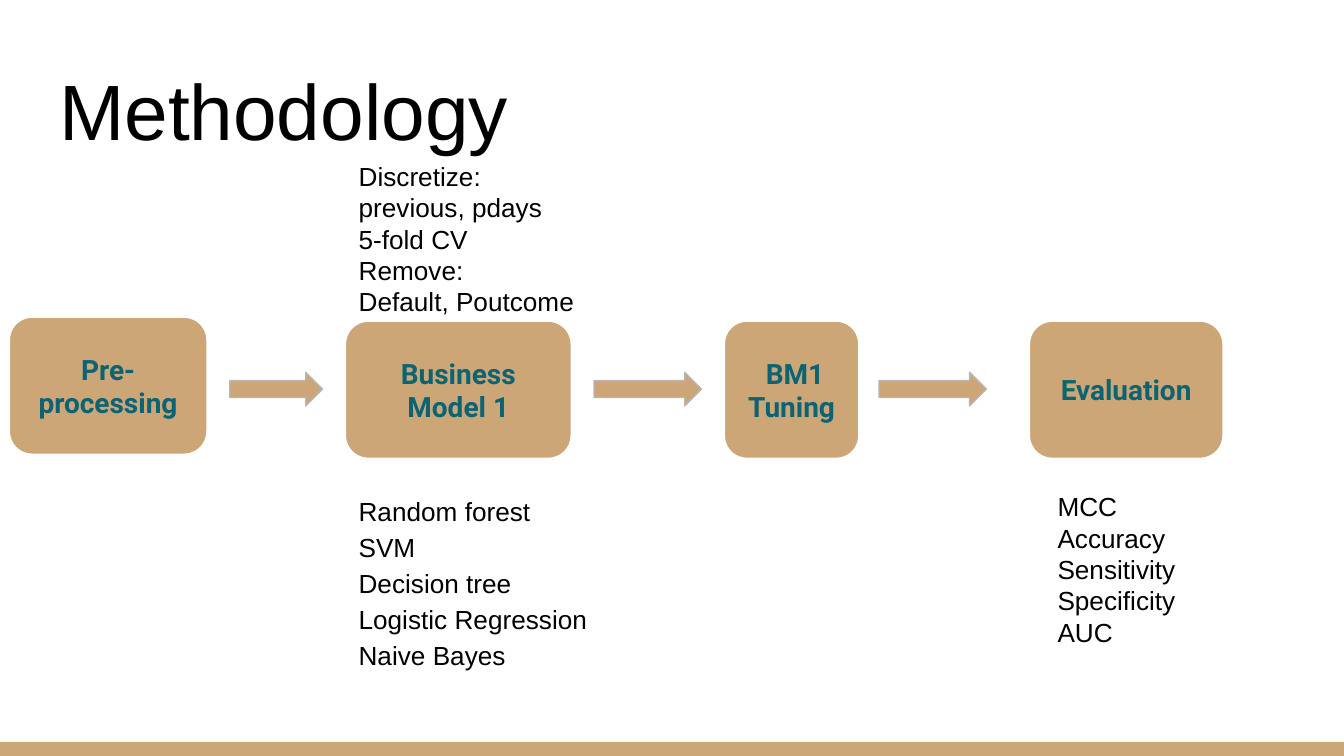
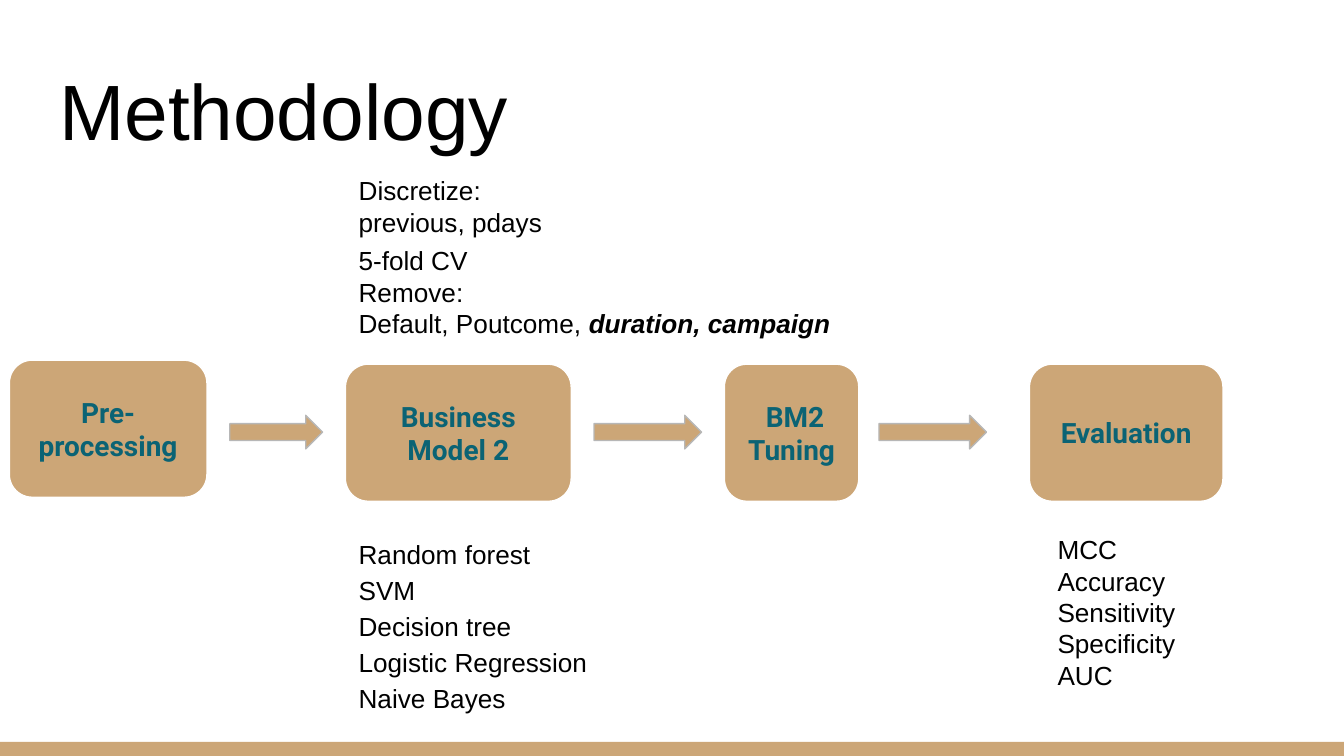
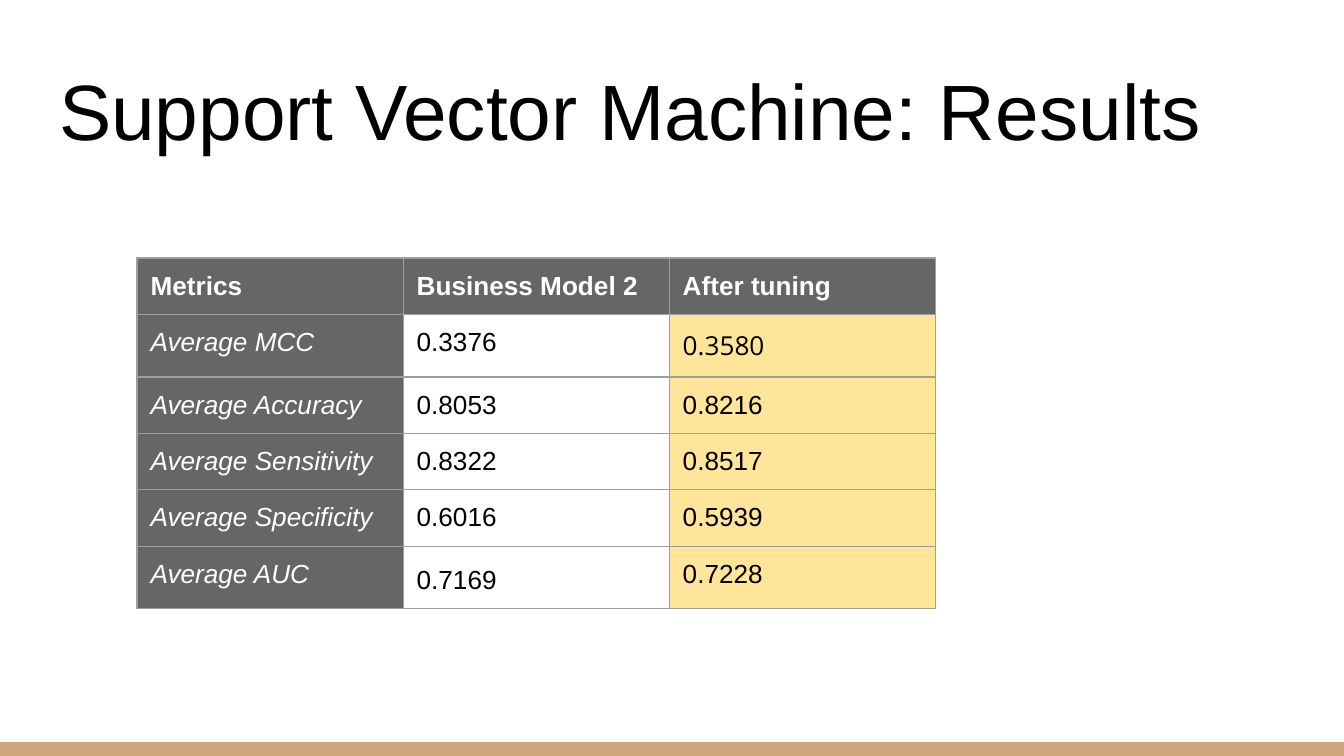
from dataclasses import dataclass

import lxml.etree
import pptx
import pptx.dml.color
import pptx.enum.shapes
import pptx.enum.text
import pptx.oxml.ns
import pptx.presentation
import pptx.shapes.autoshape
import pptx.slide
import pptx.table
import pptx.text.text
import pptx.util
from pptx.util import Inches

TAN = pptx.dml.color.RGBColor(0xCC, 0xA6, 0x77)
TEAL = pptx.dml.color.RGBColor(0x0B, 0x63, 0x74)
BLACK = pptx.dml.color.RGBColor(0x00, 0x00, 0x00)
WHITE = pptx.dml.color.RGBColor(0xFF, 0xFF, 0xFF)
ARROW_EDGE = pptx.dml.color.RGBColor(0xB7, 0xB7, 0xB7)
HEADER_GRAY = pptx.dml.color.RGBColor(0x66, 0x66, 0x66)
GRID_GRAY = pptx.dml.color.RGBColor(0x9E, 0x9E, 0x9E)
HIGHLIGHT = pptx.dml.color.RGBColor(0xFF, 0xE5, 0x99)

SLIDE_WIDTH = Inches(10)
SLIDE_HEIGHT = SLIDE_WIDTH * 9 // 16
BAND_TOP = Inches(5.52)
INSET = Inches(0.1)
STAGE_HEIGHT = Inches(1.02)
ARROW_HEIGHT = Inches(0.25)
ARROW_DROP = Inches(0.38)
LIST_DROP = Inches(1.16)
MODEL_LEFT = Inches(2.57)
TITLE_ONLY = 5

MODELS = ("Random forest", "SVM", "Decision tree", "Logistic Regression", "Naive Bayes")
METRICS = ("MCC", "Accuracy", "Sensitivity", "Specificity", "AUC")
RESULTS = (
    ("Metrics", "Business Model 2", "After tuning"),
    ("Average MCC", "0.3376", "0.3580"),
    ("Average Accuracy", "0.8053", "0.8216"),
    ("Average Sensitivity", "0.8322", "0.8517"),
    ("Average Specificity", "0.6016", "0.5939"),
    ("Average AUC", "0.7169", "0.7228"),
)


@dataclass(frozen=True)
class TextStyle:
    size: float = 14
    font: str = "Arial"
    color: pptx.dml.color.RGBColor = BLACK
    bold: bool = False
    italic: bool = False


@dataclass(frozen=True)
class Stage:
    left: float
    width: float
    lines: tuple[str, ...]
    lift: float = 0


@dataclass(frozen=True)
class Arrow:
    left: float
    width: float


@dataclass(frozen=True)
class Note:
    left: int
    top: int
    width: int
    lines: tuple[str, ...]
    spacing: float = 1.0
    emphasis: str = ""


@dataclass(frozen=True)
class Methodology:
    number: int
    stage_top: int
    discretize: Note
    validation: Note


TITLE_STYLE = TextStyle(size=42)
BODY_STYLE = TextStyle()
EMPHASIS_STYLE = TextStyle(bold=True, italic=True)
STAGE_STYLE = TextStyle(15, "Roboto", TEAL, bold=True)
HEADER_STYLE = TextStyle(color=WHITE, bold=True)
METRIC_STYLE = TextStyle(color=WHITE, italic=True)
BEST_MCC_STYLE = TextStyle(font="Open Sans")

ARROWS = (Arrow(1.71, 0.69), Arrow(4.42, 0.8), Arrow(6.54, 0.8))
DISCRETIZE = ("Discretize:", "previous, pdays")
METHODOLOGIES = (
    Methodology(
        1,
        Inches(2.39),
        Note(MODEL_LEFT, Inches(1.09), Inches(1.82), DISCRETIZE),
        Note(MODEL_LEFT, Inches(1.56), Inches(3.28),
             ("5-fold CV", "Remove:", "Default, Poutcome")),
    ),
    Methodology(
        2,
        Inches(2.71),
        Note(MODEL_LEFT, Inches(1.2), Inches(2.21), DISCRETIZE),
        Note(MODEL_LEFT, Inches(1.72), Inches(3.77),
             ("5-fold CV", "Remove:", "Default, Poutcome, "),
             emphasis="duration, campaign"),
    ),
)


def add_run(paragraph: pptx.text.text._Paragraph, text: str, style: TextStyle) -> None:
    run = paragraph.add_run()
    run.text = text
    run.font.size = pptx.util.Pt(style.size)
    run.font.name = style.font
    run.font.color.rgb = style.color
    run.font.bold = style.bold
    run.font.italic = style.italic


def write_lines(
    frame: pptx.text.text.TextFrame,
    lines: tuple[str, ...],
    style: TextStyle,
    align: pptx.enum.text.PP_ALIGN = pptx.enum.text.PP_ALIGN.LEFT,
    spacing: float = 1.0,
) -> None:
    frame.margin_left = frame.margin_right = INSET
    frame.margin_top = frame.margin_bottom = INSET
    frame.word_wrap = True
    for index, line in enumerate(lines):
        paragraph = frame.add_paragraph() if index else frame.paragraphs[0]
        paragraph.alignment = align
        paragraph.line_spacing = spacing
        add_run(paragraph, line, style)


def add_filled_shape(
    slide: pptx.slide.Slide,
    preset: pptx.enum.shapes.MSO_SHAPE,
    left: int,
    top: int,
    width: int,
    height: int,
    edge: pptx.dml.color.RGBColor | None = None,
) -> pptx.shapes.autoshape.Shape:
    shape = slide.shapes.add_shape(preset, left, top, width, height)
    shape.shadow.inherit = False
    shape.fill.solid()
    shape.fill.fore_color.rgb = TAN
    if edge is None:
        shape.line.fill.background()
    else:
        shape.line.color.rgb = edge
        shape.line.width = pptx.util.Pt(0.75)
    return shape


def add_titled_slide(deck: pptx.presentation.Presentation, heading: str) -> pptx.slide.Slide:
    slide = deck.slides.add_slide(deck.slide_layouts[TITLE_ONLY])
    title = slide.shapes.title
    title.left, title.top = Inches(0.34), Inches(0.35)
    title.width, title.height = Inches(9.32), Inches(0.91)
    write_lines(title.text_frame, (heading,), TITLE_STYLE)
    title.text_frame.vertical_anchor = pptx.enum.text.MSO_ANCHOR.BOTTOM
    title.text_frame.auto_size = pptx.enum.text.MSO_AUTO_SIZE.NONE
    return slide


def move_band_to_layout(slide: pptx.slide.Slide) -> None:
    band = add_filled_shape(
        slide, pptx.enum.shapes.MSO_SHAPE.RECTANGLE,
        0, BAND_TOP, SLIDE_WIDTH, SLIDE_HEIGHT - BAND_TOP,
    )
    slide.slide_layout.shapes.element.append(band.element)


def add_stage(slide: pptx.slide.Slide, stage: Stage, top: int) -> None:
    box = add_filled_shape(
        slide, pptx.enum.shapes.MSO_SHAPE.ROUNDED_RECTANGLE,
        Inches(stage.left), top - Inches(stage.lift), Inches(stage.width), STAGE_HEIGHT, WHITE,
    )
    box.text_frame.vertical_anchor = pptx.enum.text.MSO_ANCHOR.MIDDLE
    write_lines(box.text_frame, stage.lines, STAGE_STYLE, pptx.enum.text.PP_ALIGN.CENTER)


def add_note(slide: pptx.slide.Slide, note: Note) -> None:
    height = Inches(0.2 + 0.24 * note.spacing * len(note.lines))
    frame = slide.shapes.add_textbox(note.left, note.top, note.width, height).text_frame
    write_lines(frame, note.lines, BODY_STYLE, spacing=note.spacing)
    frame.auto_size = pptx.enum.text.MSO_AUTO_SIZE.SHAPE_TO_FIT_TEXT
    if note.emphasis:
        add_run(frame.paragraphs[-1], note.emphasis, EMPHASIS_STYLE)


def add_methodology(deck: pptx.presentation.Presentation, method: Methodology) -> pptx.slide.Slide:
    slide = add_titled_slide(deck, "Methodology")
    stages = (
        Stage(0.07, 1.47, ("Pre-", "processing"), lift=0.03),
        Stage(2.57, 1.68, (f"Business Model {method.number}",)),
        Stage(5.39, 1, (f" BM{method.number} Tuning",)),
        Stage(7.66, 1.44, ("Evaluation",)),
    )
    for stage in stages:
        add_stage(slide, stage, method.stage_top)
    for arrow in ARROWS:
        add_filled_shape(
            slide, pptx.enum.shapes.MSO_SHAPE.RIGHT_ARROW,
            Inches(arrow.left), method.stage_top + ARROW_DROP,
            Inches(arrow.width), ARROW_HEIGHT, ARROW_EDGE,
        )
    list_top = method.stage_top + LIST_DROP
    add_note(slide, Note(Inches(7.77), list_top, Inches(1.22), METRICS))
    add_note(slide, method.discretize)
    add_note(slide, method.validation)
    add_note(slide, Note(MODEL_LEFT, list_top, Inches(1.96), MODELS, spacing=1.15))
    return slide


def add_borders(cell: pptx.table._Cell) -> None:
    properties = cell._tc.get_or_add_tcPr()
    qn = pptx.oxml.ns.qn
    for side in ("a:lnL", "a:lnR", "a:lnT", "a:lnB"):
        border = lxml.etree.SubElement(properties, qn(side), w=str(pptx.util.Pt(0.75)))
        fill = lxml.etree.SubElement(border, qn("a:solidFill"))
        lxml.etree.SubElement(fill, qn("a:srgbClr"), val=str(GRID_GRAY))


def cell_look(row: int, column: int) -> tuple[TextStyle, pptx.dml.color.RGBColor]:
    if row == 0:
        return HEADER_STYLE, HEADER_GRAY
    if column == 0:
        return METRIC_STYLE, HEADER_GRAY
    if column == 1:
        return BODY_STYLE, WHITE
    return (BEST_MCC_STYLE if row == 1 else BODY_STYLE), HIGHLIGHT


def add_results(deck: pptx.presentation.Presentation) -> None:
    slide = add_titled_slide(deck, "Support Vector Machine: Results")
    row_count, column_count = len(RESULTS), len(RESULTS[0])
    column_width, row_height = Inches(1.98), Inches(0.42)
    table = slide.shapes.add_table(
        row_count, column_count, Inches(1.02), Inches(1.92),
        column_width * column_count, row_height * row_count,
    ).table
    table.first_row = table.horz_banding = False
    for row, values in enumerate(RESULTS):
        for column, value in enumerate(values):
            cell = table.cell(row, column)
            style, fill = cell_look(row, column)
            add_borders(cell)
            cell.fill.solid()
            cell.fill.fore_color.rgb = fill
            cell.margin_left = cell.margin_right = INSET
            cell.margin_top = cell.margin_bottom = INSET
            add_run(cell.text_frame.paragraphs[0], value, style)
    table.cell(row_count - 1, 1).text_frame.paragraphs[0].line_spacing = 1.2


def main() -> None:
    deck = pptx.Presentation()
    deck.slide_width, deck.slide_height = SLIDE_WIDTH, SLIDE_HEIGHT
    method_slides = [add_methodology(deck, method) for method in METHODOLOGIES]
    move_band_to_layout(method_slides[0])
    add_results(deck)
    deck.save("out.pptx")


if __name__ == "__main__":
    main()
